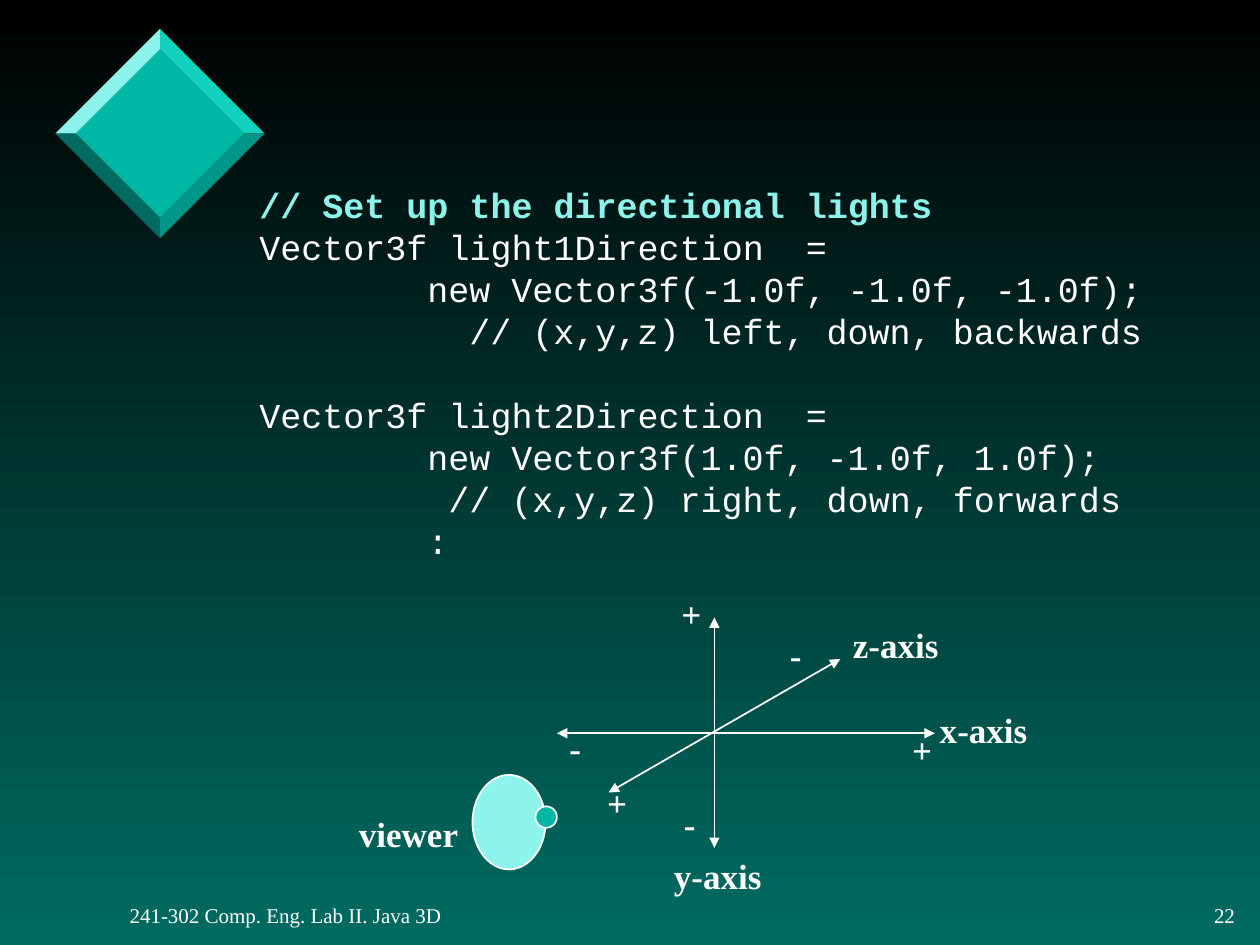
from lxml import etree
from pptx import Presentation
from pptx.dml.color import RGBColor
from pptx.enum.shapes import MSO_CONNECTOR, MSO_SHAPE
from pptx.enum.text import MSO_ANCHOR, PP_ALIGN
from pptx.oxml.ns import qn
from pptx.util import Inches, Pt

STRAIGHT, ELLIPSE = MSO_CONNECTOR.STRAIGHT, MSO_SHAPE.OVAL
TOP, MIDDLE = MSO_ANCHOR.TOP, MSO_ANCHOR.MIDDLE
LEFT, RIGHT = PP_ALIGN.LEFT, PP_ALIGN.RIGHT

BLACK = RGBColor(0x00, 0x00, 0x00)
WHITE = RGBColor(0xFF, 0xFF, 0xFF)
DEEP_TEAL = RGBColor(0x00, 0x6B, 0x61)
DARK_TEAL = RGBColor(0x00, 0x96, 0x88)
TEAL = RGBColor(0x00, 0xB7, 0xA5)
BRIGHT_TEAL = RGBColor(0x14, 0xD1, 0xBE)
AQUA = RGBColor(0x8C, 0xF4, 0xEA)
SERIF, MONO = "Times New Roman", "Courier New"

# Code lines: (indent in characters, blank lines before, text)
CODE = [
    (0, 0, "// Set up the directional lights"),
    (0, 0, "Vector3f light1Direction  ="),
    (8, 0, "new Vector3f(-1.0f, -1.0f, -1.0f);"),
    (10, 0, "// (x,y,z) left, down, backwards"),
    (0, 1, "Vector3f light2Direction  ="),
    (8, 0, "new Vector3f(1.0f, -1.0f, 1.0f);"),
    (9, 0, "// (x,y,z) right, down, forwards"),
    (8, 0, ":"),
]
CODE_BOX = (0.92, 1.41, 8.5, 2.92)
CODE_MARGIN, CHAR_WIDTH, LINE_PITCH = 1.04, 1 / 6, 24

AXES = [
    ((4.42, 5.82), (7.42, 5.82)),
    ((6.67, 5.23), (4.83, 6.29)),
    ((5.67, 4.9), (5.67, 6.73)),
]
VIEWER = [
    ((3.75, 6.15, 0.58, 0.75), AQUA),
    ((4.25, 6.4, 0.17, 0.17), TEAL),
]
LABEL_HEIGHT = 0.43
LABELS = [
    ("x-axis", 7.36, 5.57, 0.95),
    ("z-axis", 6.67, 4.9, 0.95),
    ("y-axis", 5.25, 6.73, 0.95),
    ("viewer", 2.75, 6.4, 1.05),
    ("+", 4.72, 6.15, 0.36),
    ("+", 5.31, 4.65, 0.36),
    ("+", 7.14, 5.73, 0.36),
    ("-", 5.33, 6.32, 0.29),
    ("-", 6.17, 4.98, 0.29),
    ("-", 4.42, 5.72, 0.29),
]
FOOTERS = [
    ("241-302 Comp. Eng. Lab II. Java 3D", (0.93, 7.11, 2.75, 0.3), LEFT),
    ("22", (9.51, 7.11, 0.39, 0.3), RIGHT),
]

# Jewel: a diamond with four bevels, listed clockwise from the top right
JEWEL_CENTRE, JEWEL_OUTER, JEWEL_INNER = (1.27, 1.06), 0.83, 0.67
BEVELS = [BRIGHT_TEAL, DARK_TEAL, DEEP_TEAL, AQUA]
DIRECTIONS = [(0, -1), (1, 0), (0, 1), (-1, 0)]


def inches(values):
    """Convert a sequence of inches to lengths."""
    return [Inches(value) for value in values]


def style_run(run, **formats):
    """Set font values and colour on a run."""
    color = formats.pop("color", WHITE)
    for key, value in formats.items():
        setattr(run.font, key, value)
    run.font.color.rgb = color


def add_frame(shapes, box, wrap=False, anchor=TOP):
    """Add a text box and return its text frame."""
    frame = shapes.add_textbox(*inches(box)).text_frame
    frame.word_wrap, frame.vertical_anchor = wrap, anchor
    return frame


def add_label(shapes, text, box, align=LEFT, anchor=TOP, **formats):
    """Add one line of serif text."""
    paragraph = add_frame(shapes, box, anchor=anchor).paragraphs[0]
    paragraph.alignment = align
    run = paragraph.add_run()
    run.text = text
    style_run(run, name=SERIF, **formats)


def add_polygon(shapes, points, color):
    """Add a closed, unlined outline filled with one colour."""
    corners = [inches(point) for point in points]
    builder = shapes.build_freeform(*corners[0])
    builder.add_line_segments(corners[1:], close=True)
    polygon = builder.convert_to_shape()
    polygon.shadow.inherit = False
    polygon.fill.solid()
    polygon.fill.fore_color.rgb = color
    polygon.line.fill.background()


def add_jewel(shapes):
    """Add the diamond face and its four bevels."""
    x, y = JEWEL_CENTRE
    inner, outer = (
        [(x + dx * radius, y + dy * radius) for dx, dy in DIRECTIONS]
        for radius in (JEWEL_INNER, JEWEL_OUTER)
    )
    add_polygon(shapes, inner, TEAL)
    for side, color in enumerate(BEVELS):
        after = (side + 1) % len(BEVELS)
        edge = [inner[side], outer[side], outer[after], inner[after]]
        add_polygon(shapes, edge, color)


def add_code(shapes):
    """Add the code listing, its first line highlighted."""
    frame = add_frame(shapes, CODE_BOX, wrap=True)
    for number, (indent, blanks, text) in enumerate(CODE):
        paragraph = frame.add_paragraph() if number else frame.paragraphs[0]
        paragraph.line_spacing = Pt(LINE_PITCH)
        paragraph.space_before = Pt(LINE_PITCH * blanks)
        margin = Inches(CODE_MARGIN + indent * CHAR_WIDTH)
        paragraph._p.get_or_add_pPr().set("marL", str(margin))
        run = paragraph.add_run()
        run.text = text
        style_run(run, name=MONO, size=Pt(20), bold=number == 0,
                  color=WHITE if number else AQUA)


def add_axis(shapes, start, end):
    """Add a line with an arrowhead at both ends."""
    axis = shapes.add_connector(STRAIGHT, *inches(start + end))
    axis.line.color.rgb = WHITE
    axis.line.width = Pt(1)
    line = axis.line._get_or_add_ln()
    for tag in ("a:headEnd", "a:tailEnd"):
        etree.SubElement(line, qn(tag), type="triangle")
    etree.SubElement(axis._element.spPr, qn("a:effectLst"))


def add_ellipse(shapes, box, color):
    """Add a filled ellipse with a white outline."""
    ellipse = shapes.add_shape(ELLIPSE, *inches(box))
    ellipse.shadow.inherit = False
    ellipse.fill.solid()
    ellipse.fill.fore_color.rgb = color
    ellipse.line.color.rgb = WHITE
    ellipse.line.width = Pt(1)


def main():
    """Build and save the slide."""
    deck = Presentation()
    deck.slide_width, deck.slide_height = Inches(10), Inches(7.5)
    slide = deck.slides.add_slide(deck.slide_layouts[6])
    shapes = slide.shapes

    backdrop = slide.background.fill
    backdrop.gradient()
    backdrop.gradient_angle = 270
    for stop, color in zip(backdrop.gradient_stops, (BLACK, DEEP_TEAL)):
        stop.color.rgb = color

    add_jewel(shapes)
    for text, box, align in FOOTERS:
        add_label(shapes, text, box, align, MIDDLE, size=Pt(12))
    add_code(shapes)
    for start, end in AXES:
        add_axis(shapes, start, end)
    for box, color in VIEWER:
        add_ellipse(shapes, box, color)
    for text, left, top, width in LABELS:
        add_label(shapes, text, (left, top, width, LABEL_HEIGHT),
                  size=Pt(20), bold=True)
    deck.save("out.pptx")


main()
